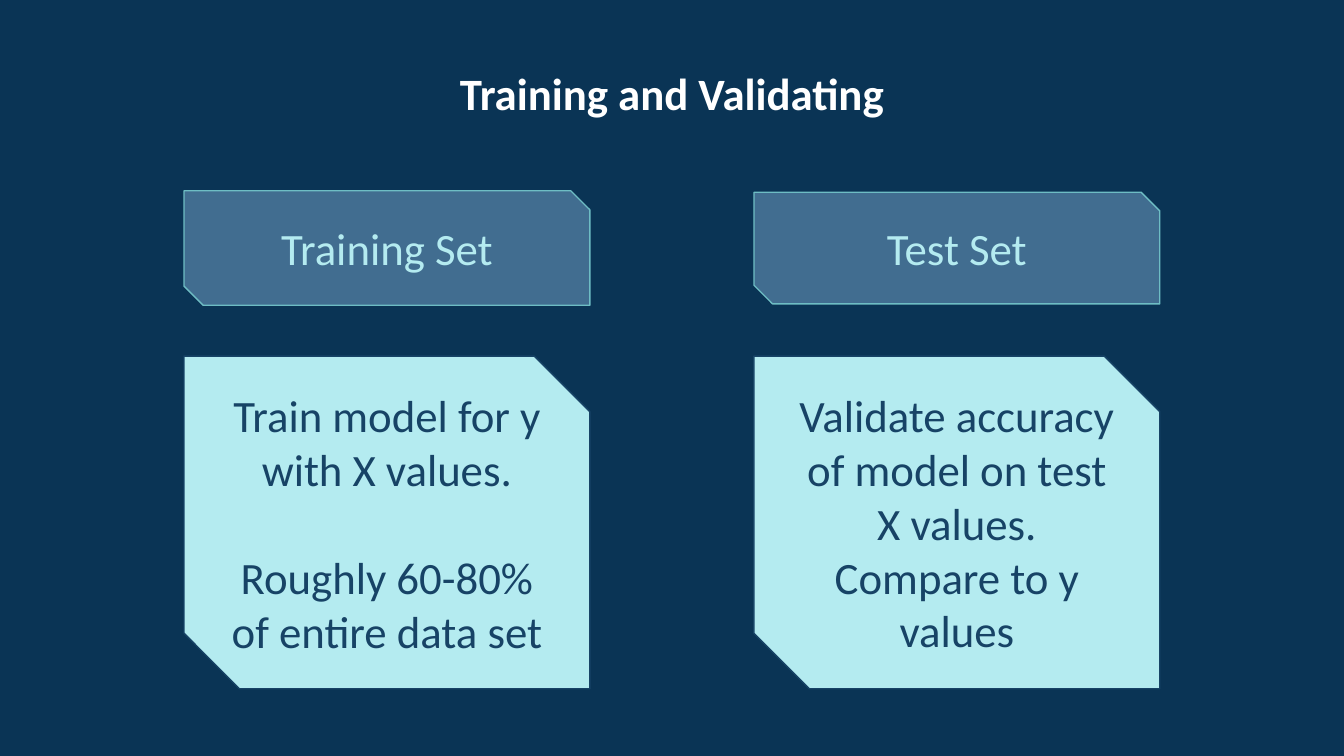
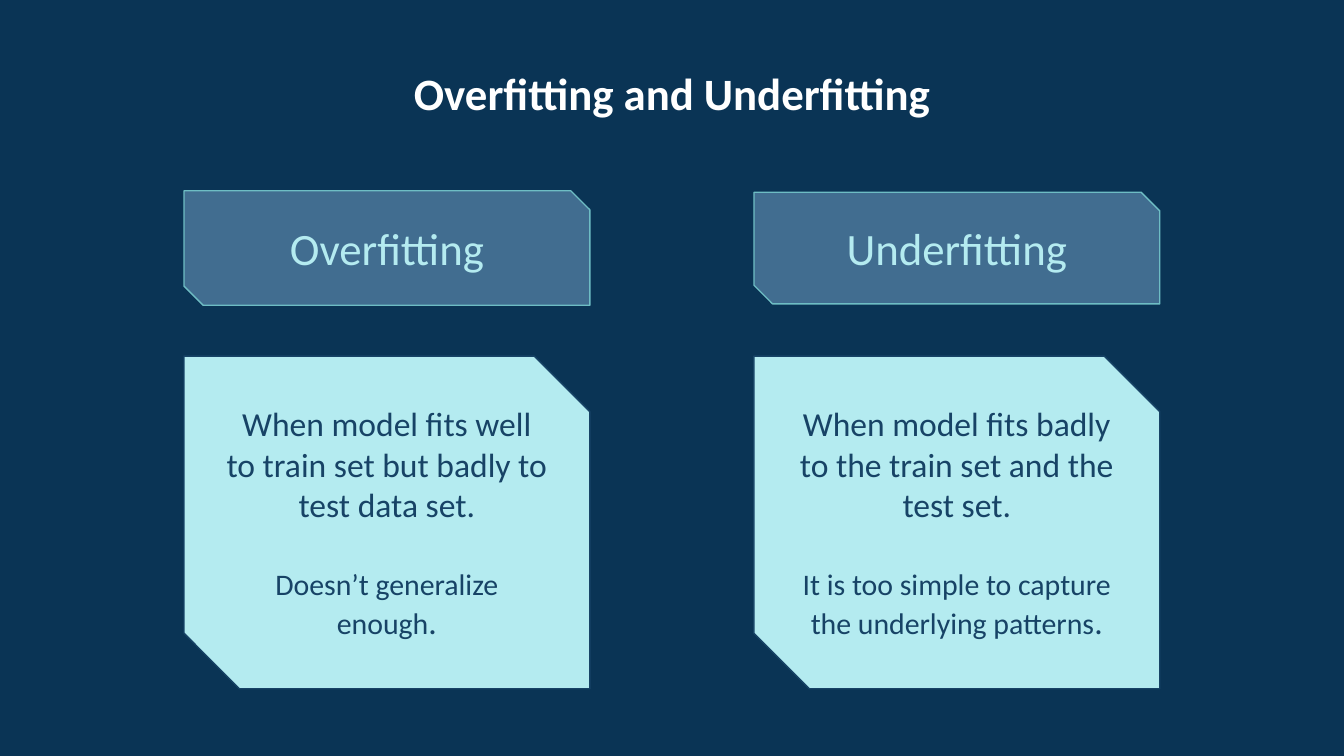
"""Build two comparison slides on model training and fitting."""
from dataclasses import dataclass

from pptx import Presentation
from pptx.dml.color import RGBColor
from pptx.enum.shapes import MSO_SHAPE
from pptx.enum.text import MSO_ANCHOR, PP_ALIGN
from pptx.util import Pt


@dataclass(frozen=True)
class Theme:
    font: str = "Calibri"
    background: str = "0A3455"
    title: str = "FFFFFF"
    header_fill: str = "416D90"
    header_line: str = "6EBDC4"
    pale: str = "B4EBF0"
    ink: str = "174366"
    large: int = 24
    medium: int = 18
    small: int = 16


theme = Theme()


def write_text(shape, paragraphs, color, anchor=MSO_ANCHOR.MIDDLE, bold=False, gap=0):
    frame = shape.text_frame
    frame.word_wrap = True
    frame.vertical_anchor = anchor
    frame.margin_left = frame.margin_right = Pt(7.2)
    frame.margin_top = frame.margin_bottom = Pt(7.2)
    for index, runs in enumerate(paragraphs):
        paragraph = frame.add_paragraph() if index else frame.paragraphs[0]
        paragraph.alignment = PP_ALIGN.CENTER
        if index:
            paragraph.space_before = Pt(gap)
        for text, size in runs:
            run = paragraph.add_run()
            run.text = text
            run.font.name = theme.font
            run.font.size = Pt(size)
            run.font.bold = bold
            run.font.color.rgb = RGBColor.from_string(color)


def add_card(slide, left, top, height, fill, line):
    shape = slide.shapes.add_shape(
        MSO_SHAPE.SNIP_2_DIAG_RECTANGLE, Pt(left), Pt(top), Pt(217.4), Pt(height))
    shape.adjustments[0] = 0
    shape.adjustments[1] = 0.167
    shape.shadow.inherit = False
    shape.fill.solid()
    shape.fill.fore_color.rgb = RGBColor.from_string(fill)
    shape.line.color.rgb = RGBColor.from_string(line)
    shape.line.width = Pt(0.75)
    return shape


columns = [(98.6, 102.2, 61.4), (403.9, 103, 59.8)]
slides = [
    ("Training and Validating", [
        ("Training Set", 29, [
            [("Train model for y with X values.", theme.large)],
            [("Roughly 60-80% of entire data set", theme.large)]]),
        ("Test Set", 0, [
            [("Validate accuracy of model on test X values.", theme.large)],
            [("Compare to y values", theme.large)]]),
    ]),
    ("Overfitting and Underfitting", [
        ("Overfitting", 22, [
            [("When model fits well to train set but badly to test data set.", theme.medium)],
            [("Doesn’t generalize enough", theme.small), (".", theme.medium)]]),
        ("Underfitting", 22, [
            [("When model fits badly to the train set and the test set.", theme.medium)],
            [("It is too simple to capture the underlying patterns", theme.small),
             (".", theme.medium)]]),
    ]),
]

presentation = Presentation()
presentation.slide_width = Pt(720)
presentation.slide_height = Pt(405)
background = presentation.slide_master.background.fill
background.solid()
background.fore_color.rgb = RGBColor.from_string(theme.background)

for title, topics in slides:
    slide = presentation.slides.add_slide(presentation.slide_layouts[6])
    title_box = slide.shapes.add_textbox(Pt(129.6), Pt(28.1), Pt(460.8), Pt(74.2))
    write_text(title_box, [[(title, theme.large)]], theme.title, MSO_ANCHOR.TOP, bold=True)
    for (left, top, height), (heading, gap, paragraphs) in zip(columns, topics):
        header = add_card(slide, left, top, height, theme.header_fill, theme.header_line)
        write_text(header, [[(heading, theme.large)]], theme.pale)
        body = add_card(slide, left, 190.8, 178.2, theme.pale, theme.ink)
        write_text(body, paragraphs, theme.ink, gap=gap)

presentation.save("out.pptx")
